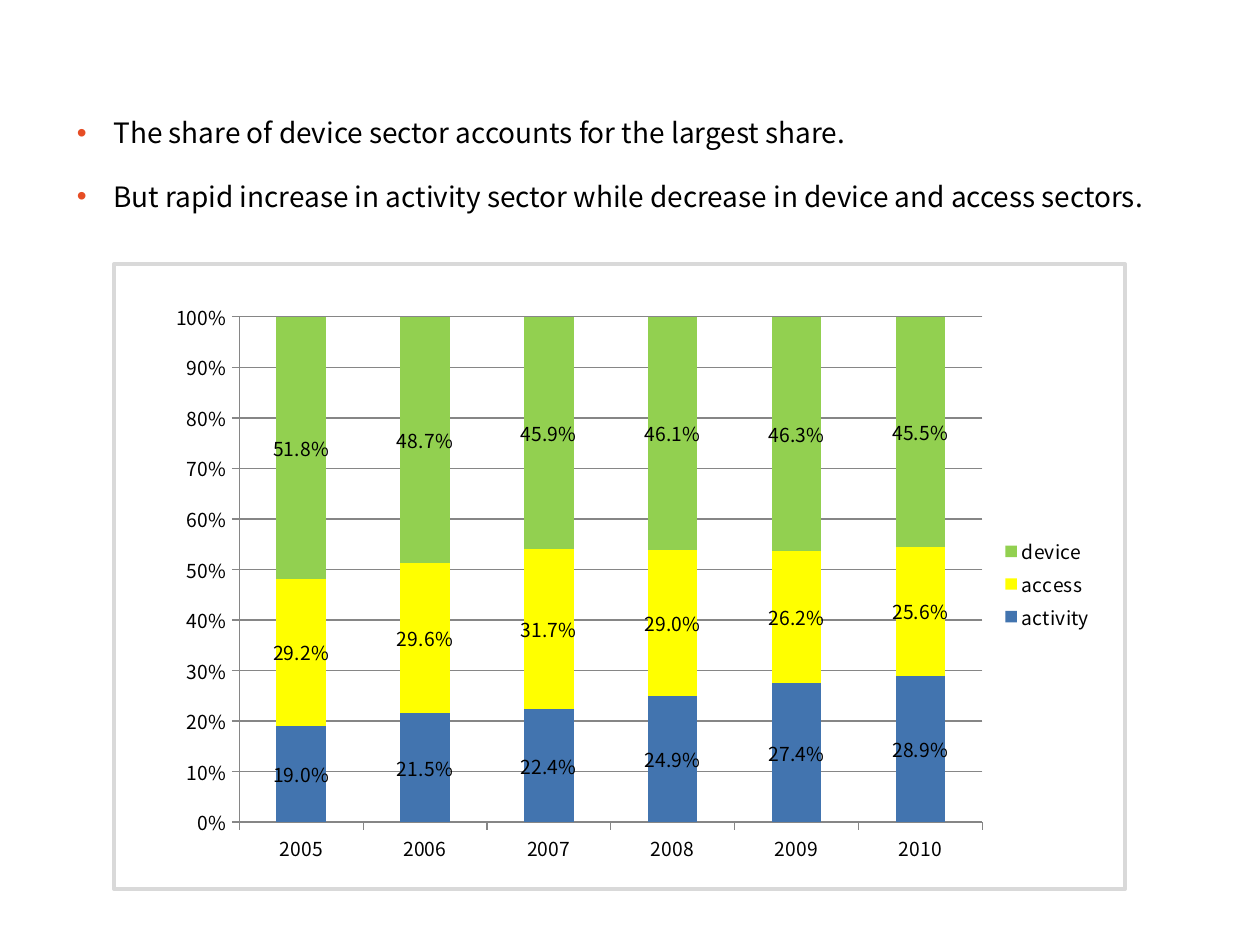
from lxml.etree import SubElement
from pptx import Presentation
from pptx.chart.data import CategoryChartData
from pptx.dml.color import RGBColor
from pptx.enum.chart import XL_CHART_TYPE, XL_LEGEND_POSITION, XL_TICK_MARK
from pptx.enum.shapes import MSO_SHAPE
from pptx.enum.text import MSO_ANCHOR, MSO_AUTO_SIZE
from pptx.oxml import parse_xml
from pptx.oxml.ns import nsdecls, qn
from pptx.util import Pt

FONT = "Noto Sans CJK KR"
BULLETS = [
    "The share of device sector accounts for the largest share.",
    "But rapid increase in activity sector while decrease in device and access sectors.",
]
YEARS = ["2005", "2006", "2007", "2008", "2009", "2010"]
SECTORS = [
    ("activity", "4274AF", [0.19, 0.215, 0.224, 0.249, 0.274, 0.289]),
    ("access", "FFFF00", [0.292, 0.296, 0.317, 0.29, 0.262, 0.256]),
    ("device", "92D050", [0.518, 0.487, 0.459, 0.461, 0.463, 0.455]),
]


def color(value):
    """Turn a hex string into a colour."""
    return RGBColor.from_string(value)


def style_font(font, size):
    """Set the slide's typeface in black at the given size."""
    font.name = FONT
    font.size = Pt(size)
    font.color.rgb = color("000000")


def style_line(line, value, width):
    """Set the colour and width of a line."""
    line.color.rgb = color(value)
    line.width = Pt(width)


def set_bullet(paragraph, value):
    """Give a paragraph a hanging round bullet of its own colour."""
    properties = paragraph._p.get_or_add_pPr()
    properties.set("marL", str(Pt(21)))
    properties.set("indent", str(-Pt(21)))
    bullet_color = SubElement(properties, qn("a:buClr"))
    SubElement(bullet_color, qn("a:srgbClr"), val=value)
    SubElement(properties, qn("a:buFont"), typeface="Arial")
    SubElement(properties, qn("a:buChar"), char="•")


def add_bullets(body):
    """Place the body placeholder and fill it with the bullets."""
    body.left, body.top, body.width, body.height = Pt(36.7), Pt(65.5), Pt(646.6), Pt(85)
    text_frame = body.text_frame
    text_frame.text = "\n".join(BULLETS)
    text_frame.word_wrap = True
    text_frame.auto_size = MSO_AUTO_SIZE.NONE
    text_frame.vertical_anchor = MSO_ANCHOR.TOP
    for paragraph in text_frame.paragraphs:
        paragraph.space_before = paragraph.space_after = Pt(10)
        paragraph.line_spacing = 0.85
        set_bullet(paragraph, "E64D25")
        for run in paragraph.runs:
            style_font(run.font, 16)


def add_frame(slide):
    """Draw the white panel behind the chart."""
    frame = slide.shapes.add_shape(
        MSO_SHAPE.RECTANGLE, Pt(65), Pt(151), Pt(578), Pt(357))
    frame.shadow.inherit = False
    frame.fill.solid()
    frame.fill.fore_color.rgb = color("FFFFFF")
    style_line(frame.line, "D9D9D9", 2)
    slide.shapes._spTree.insert(2, frame._element)


def set_plot_layout(chart, left, top, width, height):
    """Fix the inner plot area as fractions of the chart."""
    plot_area = chart._chartSpace.chart.plotArea
    for layout in plot_area.findall(qn("c:layout")):
        plot_area.remove(layout)
    plot_area.insert(0, parse_xml(
        f'<c:layout {nsdecls("c")}><c:manualLayout><c:layoutTarget val="inner"/>'
        '<c:xMode val="edge"/><c:yMode val="edge"/>'
        f'<c:x val="{left}"/><c:y val="{top}"/><c:w val="{width}"/><c:h val="{height}"/>'
        '</c:manualLayout></c:layout>'))


def style_axes(chart):
    """Format both axes and the gridlines."""
    for axis in (chart.category_axis, chart.value_axis):
        axis.major_tick_mark = XL_TICK_MARK.OUTSIDE
        axis.minor_tick_mark = XL_TICK_MARK.NONE
        style_line(axis.format.line, "868686", 0.75)
    value_axis = chart.value_axis
    value_axis.minimum_scale, value_axis.maximum_scale = 0, 1
    value_axis.major_unit = 0.1
    value_axis.has_major_gridlines = True
    style_line(value_axis.major_gridlines.format.line, "868686", 0.75)
    value_axis.tick_labels.number_format = "0%"
    value_axis.tick_labels.number_format_is_linked = False


def add_share_chart(slide):
    """Add the stacked chart of sector shares by year."""
    data = CategoryChartData(number_format="0.0%")
    data.categories = YEARS
    for name, _, values in SECTORS:
        data.add_series(name, values)
    chart = slide.shapes.add_chart(
        XL_CHART_TYPE.COLUMN_STACKED_100,
        Pt(87.8), Pt(167.8), Pt(544.3), Pt(331.9), data).chart
    style_font(chart.font, 11)
    chart.has_title = False
    chart.has_legend = True
    chart.legend.position = XL_LEGEND_POSITION.RIGHT
    chart.legend.include_in_layout = False
    plot = chart.plots[0]
    plot.gap_width = 150
    plot.overlap = 100
    plot.vary_by_categories = False
    for series, (_, fill, _) in zip(plot.series, SECTORS):
        series.format.fill.solid()
        series.format.fill.fore_color.rgb = color(fill)
        labels = series.data_labels
        labels.show_value = True
        labels.number_format = "0.0%"
        labels.number_format_is_linked = False
        style_font(labels.font, 11)
    style_axes(chart)
    set_plot_layout(chart, 0.09, 0.04, 0.78, 0.87)


def main():
    """Build and save the slide."""
    presentation = Presentation()
    presentation.slide_width, presentation.slide_height = Pt(720), Pt(540)
    slide = presentation.slides.add_slide(presentation.slide_layouts[1])
    title = slide.shapes.title._element
    title.getparent().remove(title)
    add_frame(slide)
    add_bullets(slide.placeholders[1])
    add_share_chart(slide)
    presentation.save("out.pptx")


main()
